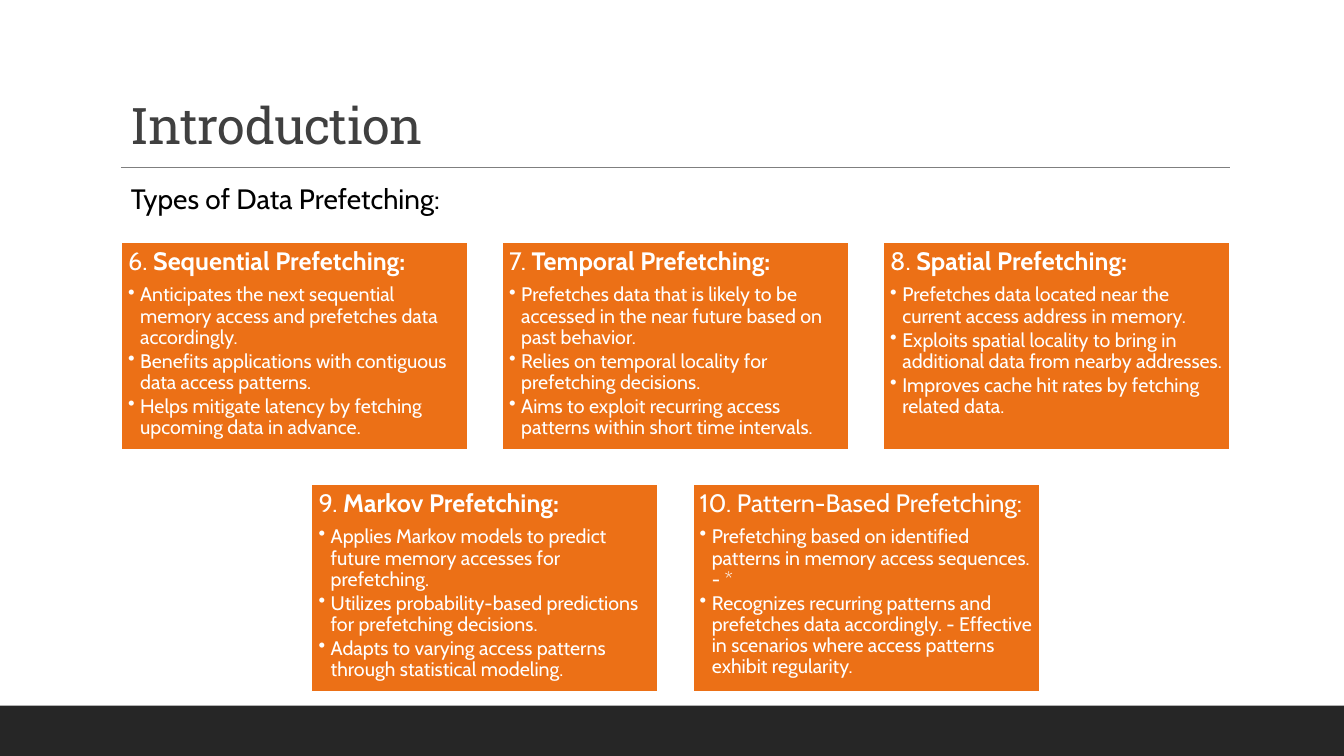
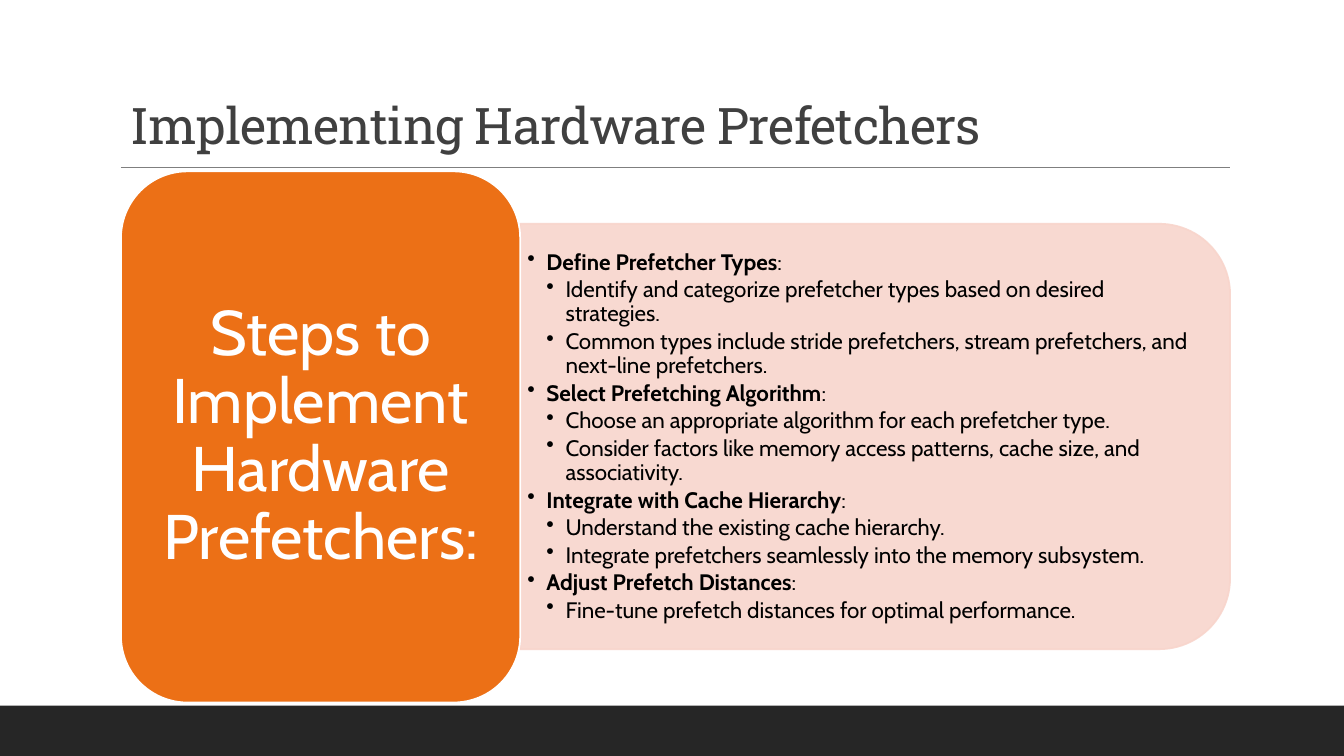
from dataclasses import dataclass

import lxml.etree
import pptx
import pptx.dml.color
import pptx.enum.shapes
import pptx.enum.text
import pptx.oxml
import pptx.oxml.ns
import pptx.util

# Shared look
PX = 9144  # EMU per px, 100 px to the inch
SLIDE_WIDTH, SLIDE_HEIGHT = 1333, 750
MARGIN_LEFT, CONTENT_WIDTH = 120, 1100
WHITE = pptx.dml.color.RGBColor(0xFF, 0xFF, 0xFF)
BLACK = pptx.dml.color.RGBColor(0x00, 0x00, 0x00)
ORANGE = pptx.dml.color.RGBColor(0xEC, 0x70, 0x16)
PINK = pptx.dml.color.RGBColor(0xF8, 0xD5, 0xCC)
TITLE_GRAY = pptx.dml.color.RGBColor(0x40, 0x40, 0x40)
RULE_GRAY = pptx.dml.color.RGBColor(0x7F, 0x7F, 0x7F)
BAND_GRAY = pptx.dml.color.RGBColor(0x26, 0x26, 0x26)
TITLE_FONT, BODY_FONT = "Roboto Slab", "Cabin"
SHAPES = pptx.enum.shapes.MSO_SHAPE
ALIGN = pptx.enum.text.PP_ALIGN
ANCHOR = pptx.enum.text.MSO_ANCHOR


@dataclass(frozen=True)
class Area:
    left: int
    top: int
    width: int
    height: int

    def emu(self) -> tuple[int, ...]:
        return tuple(v * PX for v in (self.left, self.top, self.width, self.height))


@dataclass(frozen=True)
class Line:
    """One paragraph: a plain part, a bold part, and a plain ending."""
    plain: str = ""
    bold: str = ""
    ending: str = ""
    level: int = 0
    size: float = 14
    after: float = 0  # share of the text size


@dataclass(frozen=True)
class Card:
    number: str
    name: str
    points: tuple[str, ...]
    bold: bool = True


@dataclass(frozen=True)
class Step:
    name: str
    details: tuple[str, ...]


CARD_ROWS = (
    (
        Card("6. ", "Sequential Prefetching:", (
            "Anticipates the next sequential memory access and prefetches data accordingly.",
            "Benefits applications with contiguous data access patterns.",
            "Helps mitigate latency by fetching upcoming data in advance.")),
        Card("7. ", "Temporal Prefetching:", (
            "Prefetches data that is likely to be accessed in the near future based on past behavior.",
            "Relies on temporal locality for prefetching decisions.",
            "Aims to exploit recurring access patterns within short time intervals.")),
        Card("8. ", "Spatial Prefetching:", (
            "Prefetches data located near the current access address in memory.",
            "Exploits spatial locality to bring in additional data from nearby addresses.",
            "Improves cache hit rates by fetching related data.")),
    ),
    (
        Card("9. ", "Markov Prefetching:", (
            "Applies Markov models to predict future memory accesses for prefetching.",
            "Utilizes probability-based predictions for prefetching decisions.",
            "Adapts to varying access patterns through statistical modeling.")),
        Card("10. ", "Pattern-Based Prefetching:", (
            "Prefetching based on identified patterns in memory access sequences. - *",
            "Recognizes recurring patterns and prefetches data accordingly. - "
            "Effective in scenarios where access patterns exhibit regularity."), bold=False),
    ),
)

STEPS = (
    Step("Define Prefetcher Types", (
        "Identify and categorize prefetcher types based on desired strategies.",
        "Common types include stride prefetchers, stream prefetchers, and next-line prefetchers.")),
    Step("Select Prefetching Algorithm", (
        "Choose an appropriate algorithm for each prefetcher type.",
        "Consider factors like memory access patterns, cache size, and associativity.")),
    Step("Integrate with Cache Hierarchy", (
        "Understand the existing cache hierarchy.",
        "Integrate prefetchers seamlessly into the memory subsystem.")),
    Step("Adjust Prefetch Distances", (
        "Fine-tune prefetch distances for optimal performance.",)),
)


# Drawing helpers
def add_block(page, kind, area: Area, fill, outline=None):
    block = page.shapes.add_shape(kind, *area.emu())
    block.shadow.inherit = False
    block.fill.solid()
    block.fill.fore_color.rgb = fill
    if outline is None:
        block.line.fill.background()
    else:
        block.line.color.rgb = outline
        block.line.width = pptx.util.Pt(1.25)
    return block


def set_frame(frame, side: int, edge: int, anchor) -> None:
    frame.word_wrap = True
    frame.vertical_anchor = anchor
    frame.margin_left = frame.margin_right = side * PX
    frame.margin_top = frame.margin_bottom = edge * PX


def style_span(span, font: str, size: float, color, bold: bool = False) -> None:
    span.font.name = font
    span.font.size = pptx.util.Pt(size)
    span.font.color.rgb = color
    span.font.bold = bold


def write_lines(frame, lines: list[Line], color, indent: int = 0, align=ALIGN.LEFT) -> None:
    for index, line in enumerate(lines):
        para = frame.paragraphs[0] if index == 0 else frame.add_paragraph()
        if line.level:
            para.level = line.level
            properties = para._p.get_or_add_pPr()
            properties.set("marL", str(indent * line.level * PX))
            properties.set("indent", str(-indent * PX))
            bullet = lxml.etree.SubElement(properties, pptx.oxml.ns.qn("a:buChar"))
            bullet.set("char", "•")
        para.alignment = align
        para.line_spacing = 0.9
        para.space_after = pptx.util.Pt(round(line.after * line.size, 1))
        for text, bold in ((line.plain, False), (line.bold, True), (line.ending, False)):
            if text:
                span = para.add_run()
                span.text = text
                style_span(span, BODY_FONT, line.size, color, bold)


def add_page(deck, title: str):
    """Blank page with the bottom band, the title and its rule."""
    page = deck.slides.add_slide(deck.slide_layouts[6])
    add_block(page, SHAPES.RECTANGLE, Area(0, 700, SLIDE_WIDTH, 50), BAND_GRAY)

    box = page.shapes.add_textbox(*Area(MARGIN_LEFT, 95, CONTENT_WIDTH, 71).emu())
    box.text_frame.word_wrap = True
    box.text_frame.text = title
    para = box.text_frame.paragraphs[0]
    para.alignment = ALIGN.JUSTIFY
    para.line_spacing = 0.9
    style_span(para.runs[0], TITLE_FONT, 36, TITLE_GRAY)
    para.runs[0]._r.get_or_add_rPr().set("spc", "-50")

    rule = page.shapes.add_connector(
        pptx.enum.shapes.MSO_CONNECTOR.STRAIGHT,
        MARGIN_LEFT * PX, 166 * PX, (MARGIN_LEFT + CONTENT_WIDTH) * PX, 166 * PX)
    rule.line.color.rgb = RULE_GRAY
    rule.line.width = pptx.util.Pt(0.5)
    lxml.etree.SubElement(rule._element.spPr, pptx.oxml.ns.qn("a:effectLst"))
    return page


def add_card(page, card: Card, area: Area) -> None:
    block = add_block(page, SHAPES.RECTANGLE, area, ORANGE, WHITE)
    set_frame(block.text_frame, 7, 7, ANCHOR.TOP)
    if card.bold:
        heading = Line(card.number, card.name, size=18, after=0.35)
    else:
        heading = Line(card.number + card.name, size=18, after=0.35)
    points = [Line(point, level=1, after=0.15) for point in card.points]
    write_lines(block.text_frame, [heading, *points], WHITE, indent=12)


# Slides
def build_types_page(deck) -> None:
    page = add_page(deck, "Introduction")
    width, height, gap = 344, 206, 34
    for row, cards in enumerate(CARD_ROWS):
        row_width = len(cards) * (width + gap) - gap
        row_left = MARGIN_LEFT + (CONTENT_WIDTH - row_width) // 2
        for column, card in enumerate(cards):
            left = row_left + column * (width + gap)
            add_card(page, card, Area(left, 240 + row * (height + gap), width, height))

    box = page.shapes.add_textbox(*Area(MARGIN_LEFT, 175, 328, 44).emu())
    box.text_frame.word_wrap = False
    box.text_frame.text = "Types of Data Prefetching:"
    style_span(box.text_frame.paragraphs[0].runs[0], BODY_FONT, 20, BLACK)


def build_steps_page(deck) -> None:
    page = add_page(deck, "Implementing Hardware Prefetchers")

    # Panel rounded on its right side, turned a quarter about its centre
    panel = add_block(page, SHAPES.ROUND_2_SAME_RECTANGLE, Area(657, 81, 422, 704), PINK, PINK)
    panel.rotation = 90
    for color in panel._element.spPr.iter(pptx.oxml.ns.qn("a:srgbClr")):
        lxml.etree.SubElement(color, pptx.oxml.ns.qn("a:alpha")).set("val", "90000")

    # Steps on the panel
    box = page.shapes.add_textbox(*Area(516, 243, 683, 381).emu())
    set_frame(box.text_frame, 7, 3, ANCHOR.MIDDLE)
    lines = []
    for step in STEPS:
        lines.append(Line(bold=step.name, ending=":", level=1, size=16, after=0.15))
        lines += [Line(text, level=2, size=16, after=0.15) for text in step.details]
    write_lines(box.text_frame, lines, BLACK, indent=19)

    # Heading block
    block = add_block(page, SHAPES.ROUNDED_RECTANGLE, Area(MARGIN_LEFT, 170, 396, 527), ORANGE, WHITE)
    set_frame(block.text_frame, 19, 9, ANCHOR.MIDDLE)
    heading = Line("Steps to Implement Hardware Prefetchers:", size=45)
    write_lines(block.text_frame, [heading], WHITE, align=ALIGN.CENTER)


def main() -> None:
    deck = pptx.Presentation()
    deck.slide_width = SLIDE_WIDTH * PX
    deck.slide_height = SLIDE_HEIGHT * PX
    build_types_page(deck)
    build_steps_page(deck)
    deck.save("out.pptx")


if __name__ == "__main__":
    main()
